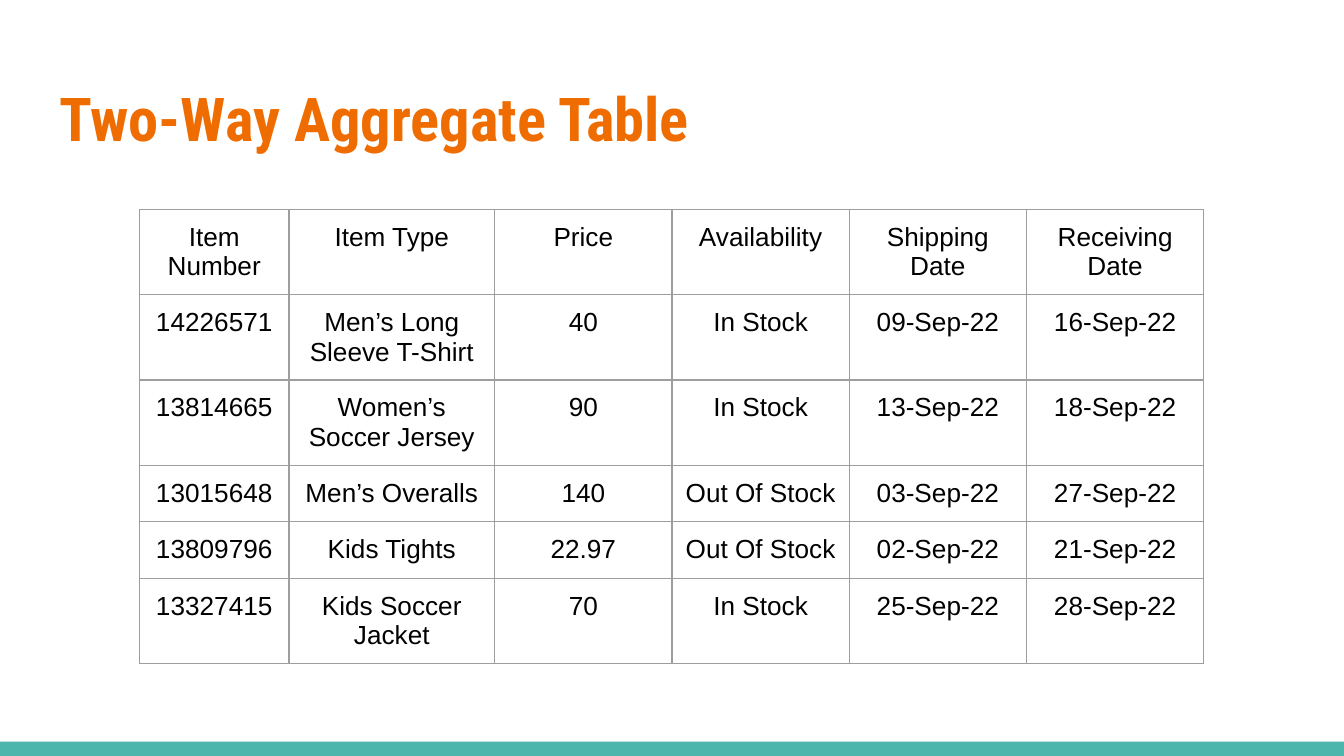
from lxml.etree import SubElement
from pptx import Presentation
from pptx.dml.color import RGBColor
from pptx.enum.shapes import MSO_SHAPE
from pptx.enum.text import MSO_ANCHOR, MSO_AUTO_SIZE, PP_ALIGN
from pptx.oxml.ns import qn
from pptx.util import Cm, Pt

COLORS = {"title": "EF6C00", "band": "4DB6AC", "text": "000000", "grid": "9E9E9E"}
SLIDE_WIDTH, SLIDE_HEIGHT = Cm(25.4), Cm(14.29)
BAND_HEIGHT = Cm(0.27)
INSET = Cm(0.25)
ROW_HEIGHT = Cm(1.07)
COLUMN_WIDTHS = [Cm(2.82), Cm(3.89)] + [Cm(3.35)] * 4

ITEMS = [
    ("Item Number", "Item Type", "Price", "Availability", "Shipping Date", "Receiving Date"),
    ("14226571", "Men’s Long Sleeve T-Shirt", "40", "In Stock", "09-Sep-22", "16-Sep-22"),
    ("13814665", "Women’s Soccer Jersey", "90", "In Stock", "13-Sep-22", "18-Sep-22"),
    ("13015648", "Men’s Overalls", "140", "Out Of Stock", "03-Sep-22", "27-Sep-22"),
    ("13809796", "Kids Tights", "22.97", "Out Of Stock", "02-Sep-22", "21-Sep-22"),
    ("13327415", "Kids Soccer Jacket", "70", "In Stock", "25-Sep-22", "28-Sep-22"),
]


def rgb(name):
    return RGBColor.from_string(COLORS[name])


def style_text(paragraph, font_name, size, color, align, bold=False):
    paragraph.alignment = align
    for run in paragraph.runs:
        run.font.name = font_name
        run.font.size = Pt(size)
        run.font.bold = bold
        run.font.color.rgb = rgb(color)


def set_insets(holder):
    holder.margin_left = holder.margin_right = INSET
    holder.margin_top = holder.margin_bottom = INSET


def add_band(slide, left, top, width, height):
    band = slide.shapes.add_shape(MSO_SHAPE.RECTANGLE, left, top, width, height)
    band.shadow.inherit = False
    band.fill.solid()
    band.fill.fore_color.rgb = rgb("band")
    band.line.fill.background()


def place_title(slide, left, top, width, height):
    title = slide.shapes.title
    title.left, title.top, title.width, title.height = left, top, width, height
    frame = title.text_frame
    frame.text = "Two-Way Aggregate Table"
    frame.word_wrap = True
    frame.auto_size = MSO_AUTO_SIZE.NONE
    frame.vertical_anchor = MSO_ANCHOR.MIDDLE
    set_insets(frame)
    style_text(frame.paragraphs[0], "Roboto Condensed", 32.4, "title", PP_ALIGN.LEFT, bold=True)


def add_borders(cell):
    properties = cell._tc.get_or_add_tcPr()
    for side in ("lnL", "lnR", "lnT", "lnB"):
        border = SubElement(properties, qn(f"a:{side}"), w=str(Pt(0.75)))
        fill = SubElement(border, qn("a:solidFill"))
        SubElement(fill, qn("a:srgbClr"), val=COLORS["grid"])


def add_item_table(slide, left, top):
    table = slide.shapes.add_table(
        len(ITEMS), len(COLUMN_WIDTHS), left, top,
        sum(COLUMN_WIDTHS), ROW_HEIGHT * len(ITEMS),
    ).table
    table.first_row = table.horz_banding = False
    for column, width in zip(table.columns, COLUMN_WIDTHS):
        column.width = width
    for row, values in zip(table.rows, ITEMS):
        row.height = ROW_HEIGHT
        for cell, value in zip(row.cells, values):
            cell.text_frame.text = value
            style_text(cell.text_frame.paragraphs[0], "Arial", 14, "text", PP_ALIGN.CENTER)
            set_insets(cell)
            add_borders(cell)
            cell.fill.background()


def main():
    presentation = Presentation()
    presentation.slide_width, presentation.slide_height = SLIDE_WIDTH, SLIDE_HEIGHT
    slide = presentation.slides.add_slide(presentation.slide_layouts.get_by_name("Title Only"))
    add_band(slide, 0, SLIDE_HEIGHT - BAND_HEIGHT, SLIDE_WIDTH, BAND_HEIGHT)
    place_title(slide, Cm(0.87), Cm(1.24), Cm(23.67), Cm(1.96))
    add_item_table(slide, Cm(2.64), Cm(3.96))
    presentation.save("out.pptx")


if __name__ == "__main__":
    main()
